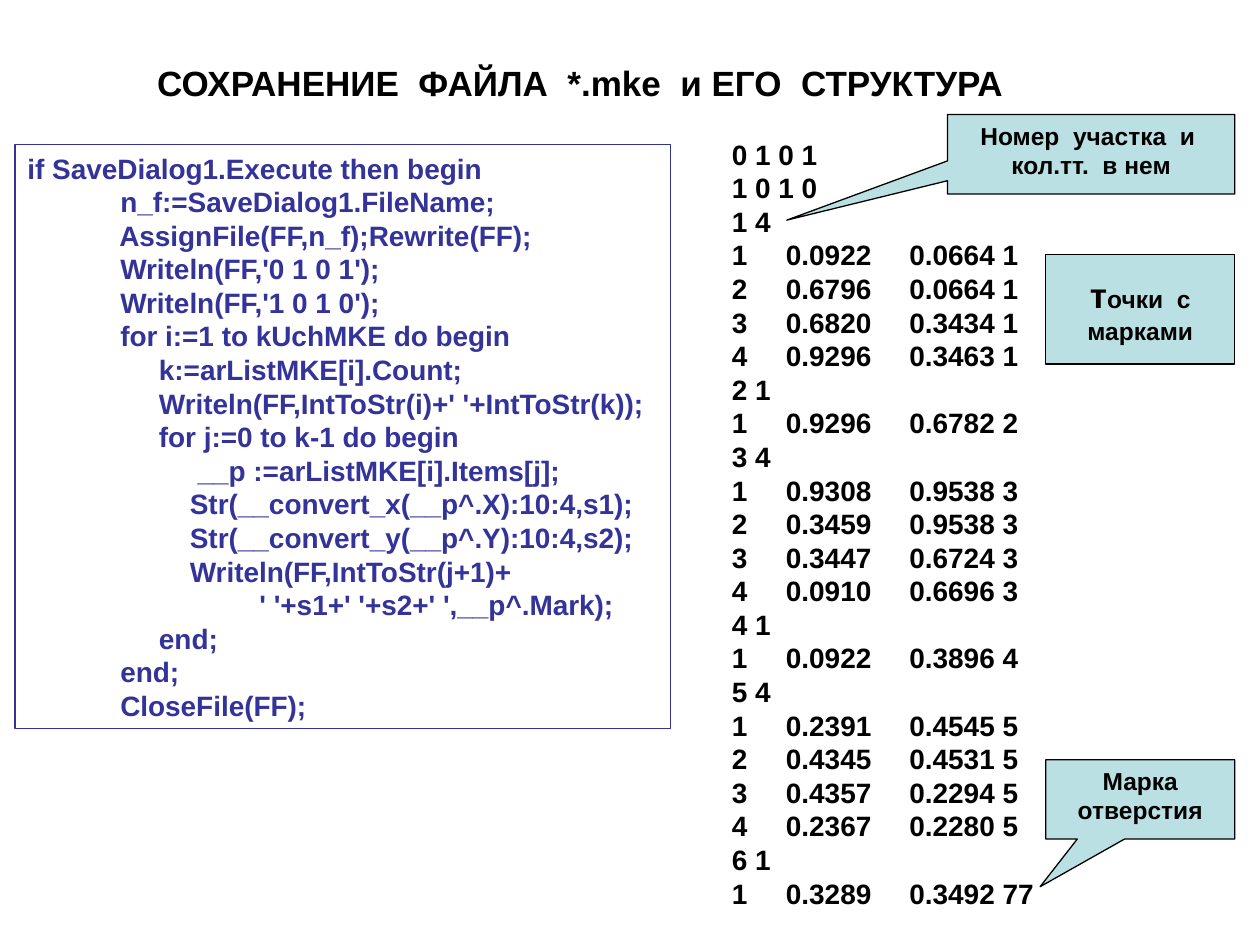
from dataclasses import dataclass

from lxml.etree import SubElement
from pptx import Presentation
from pptx.dml.color import RGBColor
from pptx.enum.shapes import MSO_SHAPE as Shape
from pptx.enum.text import MSO_ANCHOR as Anchor, MSO_AUTO_SIZE as AutoSize, PP_ALIGN as Align
from pptx.oxml.ns import qn
from pptx.util import Inches, Pt

COLUMNS, ROWS = 100, 75
WIDTH, HEIGHT = Inches(10), Inches(7.5)


@dataclass(frozen=True)
class Theme:
    """Colours, font and type sizes of the slide."""
    font: str = "Arial"
    ink: str = "000000"
    code: str = "333399"
    note: str = "BBE0E3"
    title_size: int = 20
    code_size: int = 16
    note_size: int = 14
    line_width: float = 0.75


@dataclass(frozen=True)
class Box:
    """An area in grid columns and rows."""
    left: float
    top: float
    width: float
    height: float

    def place(self):
        """Return the area in slide units."""
        column, row = WIDTH / COLUMNS, HEIGHT / ROWS
        return (int(self.left * column), int(self.top * row),
                int(self.width * column), int(self.height * row))

    def inner(self, left, top, width, height):
        """Return an area given in cells from this corner."""
        return Box(self.left + left, self.top + top, width, height)


THEME = Theme()

CODE = """\
if SaveDialog1.Execute then begin
            n_f:=SaveDialog1.FileName;
            AssignFile(FF,n_f);Rewrite(FF);
            Writeln(FF,'0 1 0 1');
            Writeln(FF,'1 0 1 0');
            for i:=1 to kUchMKE do begin
                 k:=arListMKE[i].Count;
                 Writeln(FF,IntToStr(i)+' '+IntToStr(k));
                 for j:=0 to k-1 do begin
                      __p :=arListMKE[i].Items[j];
                     Str(__convert_x(__p^.X):10:4,s1);
                     Str(__convert_y(__p^.Y):10:4,s2);
                     Writeln(FF,IntToStr(j+1)+
                              ' '+s1+' '+s2+' ',__p^.Mark);
                 end;
            end;
            CloseFile(FF);"""

HEADER = ["0 1 0 1", "1 0 1 0"]
SECTIONS = [
    (1, ["0.0922 0.0664", "0.6796 0.0664", "0.6820 0.3434", "0.9296 0.3463"]),
    (2, ["0.9296 0.6782"]),
    (3, ["0.9308 0.9538", "0.3459 0.9538", "0.3447 0.6724", "0.0910 0.6696"]),
    (4, ["0.0922 0.3896"]),
    (5, ["0.2391 0.4545", "0.4345 0.4531", "0.4357 0.2294", "0.2367 0.2280"]),
    (77, ["0.3289 0.3492"]),
]


def write(shape, text, size, color=THEME.ink, align=Align.LEFT, anchor=Anchor.TOP,
          wrap=True, tabs=(), first_size=None):
    """Fill a shape with bold text, one paragraph a line."""
    frame = shape.text_frame
    frame.word_wrap = wrap
    frame.auto_size = AutoSize.NONE
    frame.vertical_anchor = anchor
    for index, line in enumerate(text.split("\n")):
        para = frame.paragraphs[0] if index == 0 else frame.add_paragraph()
        para.alignment = align
        if tabs:
            stops = SubElement(para._p.get_or_add_pPr(), qn("a:tabLst"))
            for stop in tabs:
                SubElement(stops, qn("a:tab"), pos=str(Inches(stop)), algn="l")
        spans = [(line, size)]
        if first_size and index == 0:
            spans = [(line[:1], first_size), (line[1:], size)]
        for words, points in spans:
            span = para.add_run()
            span.text = words
            span.font.name = THEME.font
            span.font.size = Pt(points)
            span.font.bold = True
            span.font.color.rgb = RGBColor.from_string(color)


def add_panel(page, box, kind=Shape.RECTANGLE, fill=None, line=THEME.ink):
    """Add an outlined shape, hollow unless a fill is given."""
    shape = page.shapes.add_shape(kind, *box.place())
    shape.shadow.inherit = False
    if fill:
        shape.fill.solid()
        shape.fill.fore_color.rgb = RGBColor.from_string(fill)
    else:
        shape.fill.background()
    shape.line.color.rgb = RGBColor.from_string(line)
    shape.line.width = Pt(THEME.line_width)
    return shape


def add_title(page, box):
    """Place the heading."""
    write(page.shapes.add_textbox(*box.place()),
          "СОХРАНЕНИЕ  ФАЙЛА  *.mke  и ЕГО  СТРУКТУРА",
          THEME.title_size, align=Align.CENTER)


def add_code(page, box):
    """Place the framed program text."""
    write(add_panel(page, box, line=THEME.code), CODE, THEME.code_size, THEME.code)


def add_listing(page, box):
    """Place the contents of the saved file in tabbed columns."""
    lines = list(HEADER)
    for number, (mark, points) in enumerate(SECTIONS, 1):
        lines.append(f"{number} {len(points)}")
        for index, point in enumerate(points, 1):
            x, y = point.split()
            lines.append(f"{index}\t{x}\t{y} {mark}")
    write(page.shapes.add_textbox(*box.place()), "\n".join(lines),
          THEME.code_size, tabs=(0.43, 1.41))


def add_callout(page, box, text, tip):
    """Place a callout whose tip is given as shares of its size from its centre."""
    shape = add_panel(page, box, Shape.RECTANGULAR_CALLOUT, THEME.note)
    shape.adjustments[0], shape.adjustments[1] = tip
    write(shape, text, THEME.note_size, align=Align.CENTER)


def add_notes(page, box):
    """Place the explanations beside the listing, flush right."""
    wide, narrow, tall = 22.8, 15, 6.3
    inset = box.width - narrow
    add_callout(page, box.inner(0, 0, wide, tall),
                "Номер  участка  и  кол.тт.  в нем", (-1.06, 0.83))
    points = add_panel(page, box.inner(inset, 11.1, narrow, 8.7), fill=THEME.note)
    write(points, "точки  с\nмарками", THEME.note_size, align=Align.CENTER,
          anchor=Anchor.MIDDLE, wrap=False, first_size=THEME.title_size)
    add_callout(page, box.inner(inset, box.height - tall, narrow, tall),
                "Марка отверстия", (-0.53, 1.1))


def main():
    """Build the slide and save the deck."""
    deck = Presentation()
    deck.slide_width, deck.slide_height = WIDTH, HEIGHT
    page = deck.slides.add_slide(deck.slide_layouts[6])
    add_code(page, Box(1.2, 11.5, 52, 46.3))
    add_title(page, Box(4.3, 4.4, 83.5, 4.4))
    add_listing(page, Box(57.1, 10.4, 27.4, 62.3))
    add_notes(page, Box(75.2, 9.1, 22.8, 57.5))
    deck.save("out.pptx")


if __name__ == "__main__":
    main()
